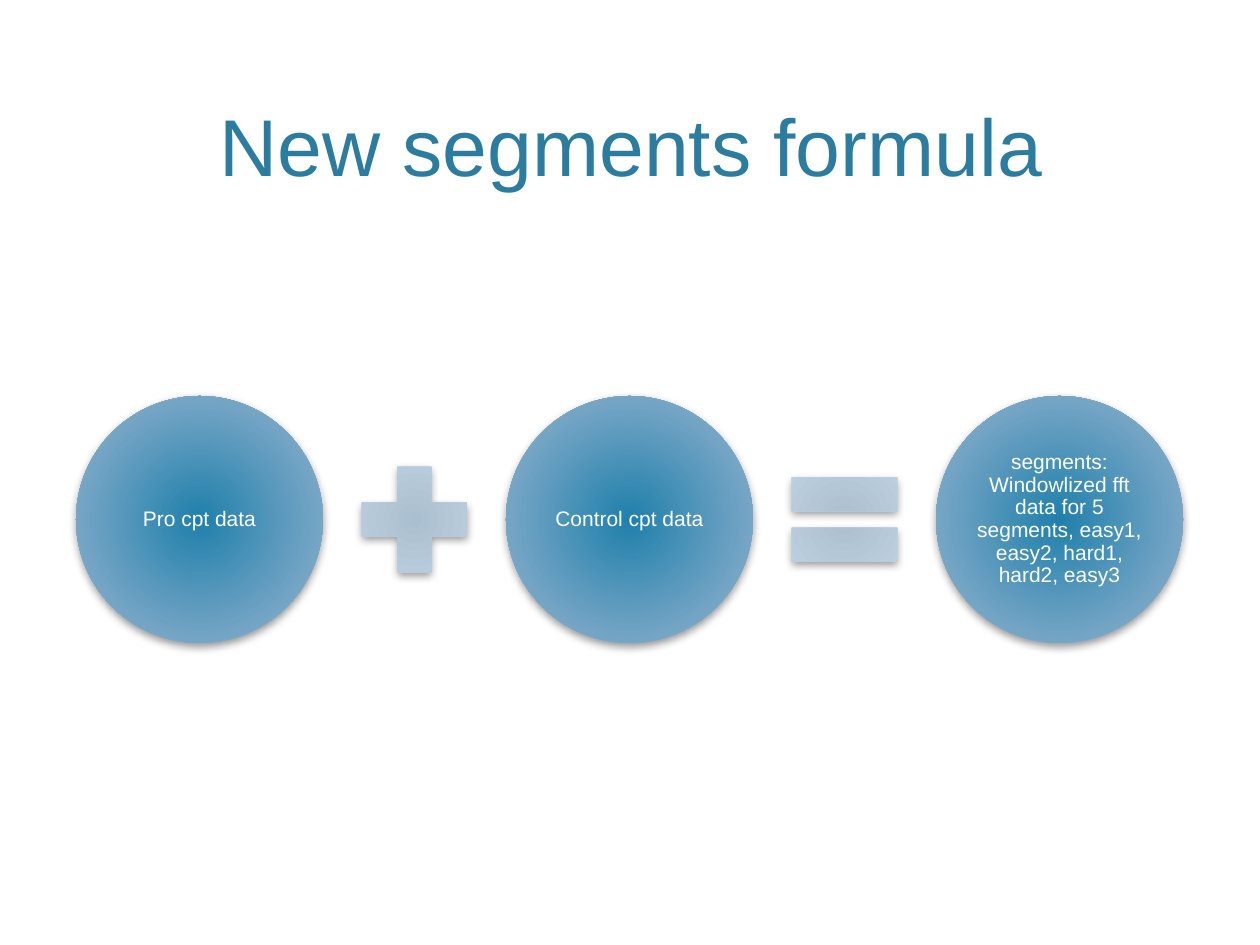
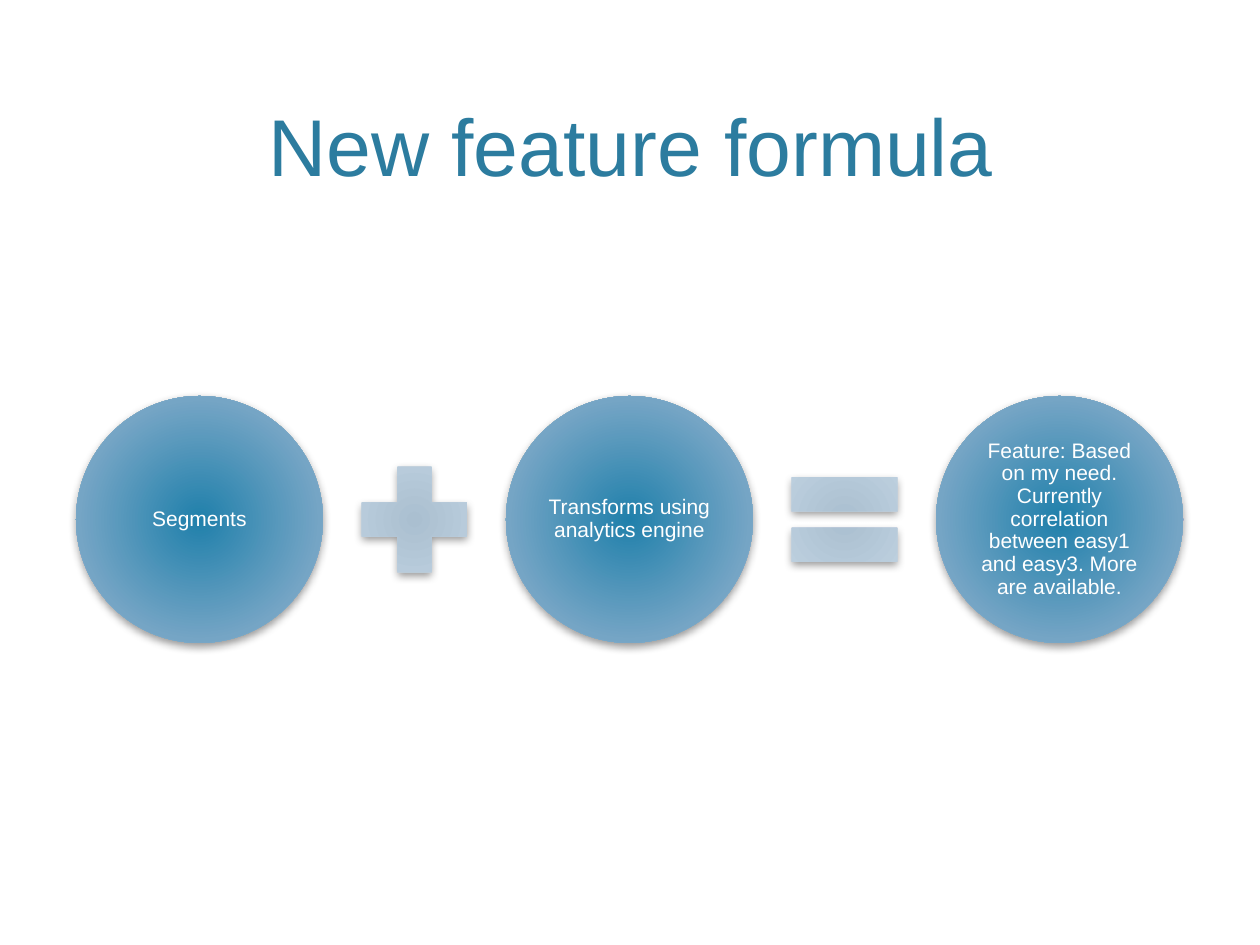
import pptx
import pptx.dml.color
import pptx.enum.shapes
import pptx.enum.text
import pptx.oxml
import pptx.oxml.ns
import pptx.util

PX = 914400 / 126
FONT = "Arial"
COLORS = {"title": "2C7C9F", "text": "FFFFFF", "shadow": "000000"}
CIRCLE_STOPS = {0: "2080AB", 69: "75A5C5", 100: "B8CCDC"}
SIGN_STOPS = {0: "AABFD0", 69: "BCCFDE", 100: "D8E2EB"}
SHAPES = pptx.enum.shapes.MSO_SHAPE
ANCHOR = pptx.enum.text.MSO_ANCHOR

TITLE_BOX = (76, 15, 1109, 184)
FORMULA_BOX = (76, 396, 1107, 247)
SIGN_SIZE = 143
SIGNS = (SHAPES.MATH_PLUS, SHAPES.MATH_EQUAL)

PAGES = (
    ("New segments formula",
     ("Pro cpt data",
      "Control cpt data",
      "segments: Windowlized fft data for 5 segments, "
      "easy1, easy2, hard1, hard2, easy3")),
    ("New feature formula",
     ("Segments",
      "Transforms using analytics engine",
      "Feature: Based on my need. Currently correlation between "
      "easy1 and easy3. More are available.")),
)


def px(length):
    return pptx.util.Emu(round(length * PX))


def write(shape, text, size, color, anchor, spacing=1.0, after=0, inset=None):
    """Put one centred paragraph into the shape."""
    frame = shape.text_frame
    frame.word_wrap = True
    frame.auto_size = pptx.enum.text.MSO_AUTO_SIZE.NONE
    frame.vertical_anchor = anchor
    if inset is not None:
        frame.margin_left = frame.margin_right = px(inset)
        frame.margin_top = frame.margin_bottom = px(inset)
    para = frame.paragraphs[0]
    para.alignment = pptx.enum.text.PP_ALIGN.CENTER
    para.line_spacing = spacing
    para.space_after = pptx.util.Pt(after)
    span = para.add_run()
    span.text = text
    span.font.name = FONT
    span.font.size = pptx.util.Pt(size)
    span.font.color.rgb = pptx.dml.color.RGBColor.from_string(COLORS[color])


def add_glossy(group, kind, left, top, size, stops):
    """Add a square-framed shape with a radial gradient and a soft shadow."""
    shape = group.shapes.add_shape(kind, px(left), px(top), px(size), px(size))
    shape.line.fill.background()
    namespace = pptx.oxml.ns.nsdecls("a")
    stop_xml = "".join(
        f'<a:gs pos="{percent * 1000}"><a:srgbClr val="{color}"/></a:gs>'
        for percent, color in stops.items())
    gradient = pptx.oxml.parse_xml(
        f'<a:gradFill {namespace} rotWithShape="1"><a:gsLst>{stop_xml}</a:gsLst>'
        '<a:path path="circle"><a:fillToRect l="100000" t="100000" '
        'r="100000" b="100000"/></a:path></a:gradFill>')
    shadow = pptx.oxml.parse_xml(
        f'<a:effectLst {namespace}><a:outerShdw blurRad="{pptx.util.Pt(5)}" '
        f'dist="{pptx.util.Pt(2)}" dir="5400000" rotWithShape="0">'
        f'<a:srgbClr val="{COLORS["shadow"]}"><a:alpha val="40000"/></a:srgbClr>'
        '</a:outerShdw></a:effectLst>')
    outline = shape.line._get_or_add_ln()
    outline.addprevious(gradient)
    outline.addnext(shadow)
    return shape


def add_title(page, text, box):
    title = page.shapes.title
    title.left, title.top, title.width, title.height = map(px, box)
    write(title, text, 46, "title", ANCHOR.BOTTOM)


def add_formula(page, terms, box):
    """Spread the circles across the box, with a sign centred in each gap."""
    left, top, width, diameter = box
    pitch = (width - diameter) / (len(terms) - 1)
    sign_offset = (pitch + diameter - SIGN_SIZE) / 2
    group = page.shapes.add_group_shape()
    for index, term in enumerate(terms):
        term_left = left + index * pitch
        circle = add_glossy(group, SHAPES.OVAL, term_left, top, diameter,
                            CIRCLE_STOPS)
        write(circle, term, 12, "text", ANCHOR.MIDDLE,
              spacing=0.9, after=4.2, inset=2)
        if index < len(SIGNS):
            add_glossy(group, SIGNS[index], term_left + sign_offset,
                       top + (diameter - SIGN_SIZE) / 2, SIGN_SIZE, SIGN_STOPS)


def main():
    deck = pptx.Presentation()
    deck.slide_width, deck.slide_height = px(1260), px(945)
    for title, terms in PAGES:
        page = deck.slides.add_slide(deck.slide_layouts[5])
        add_title(page, title, TITLE_BOX)
        add_formula(page, terms, FORMULA_BOX)
    deck.save("out.pptx")


if __name__ == "__main__":
    main()
